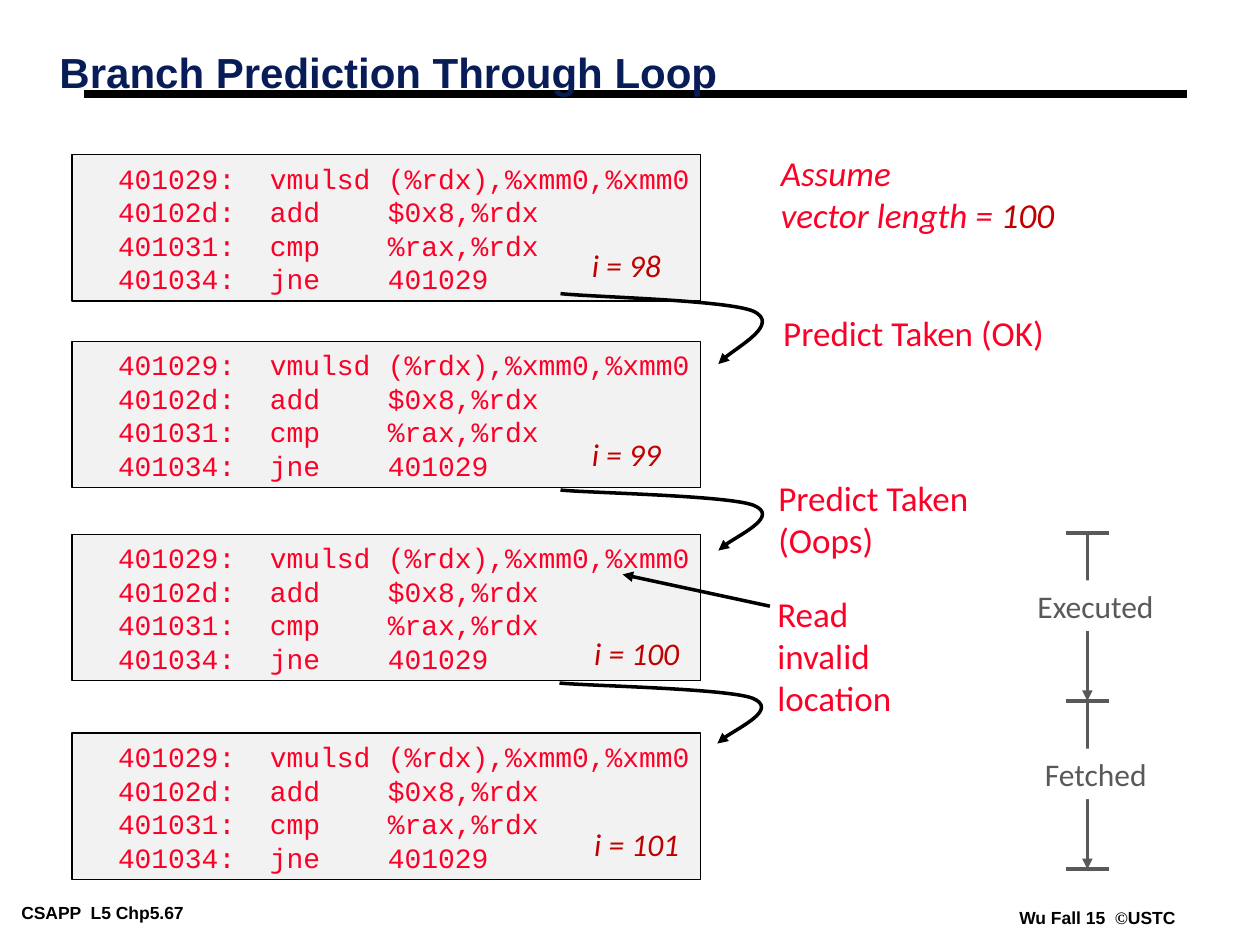
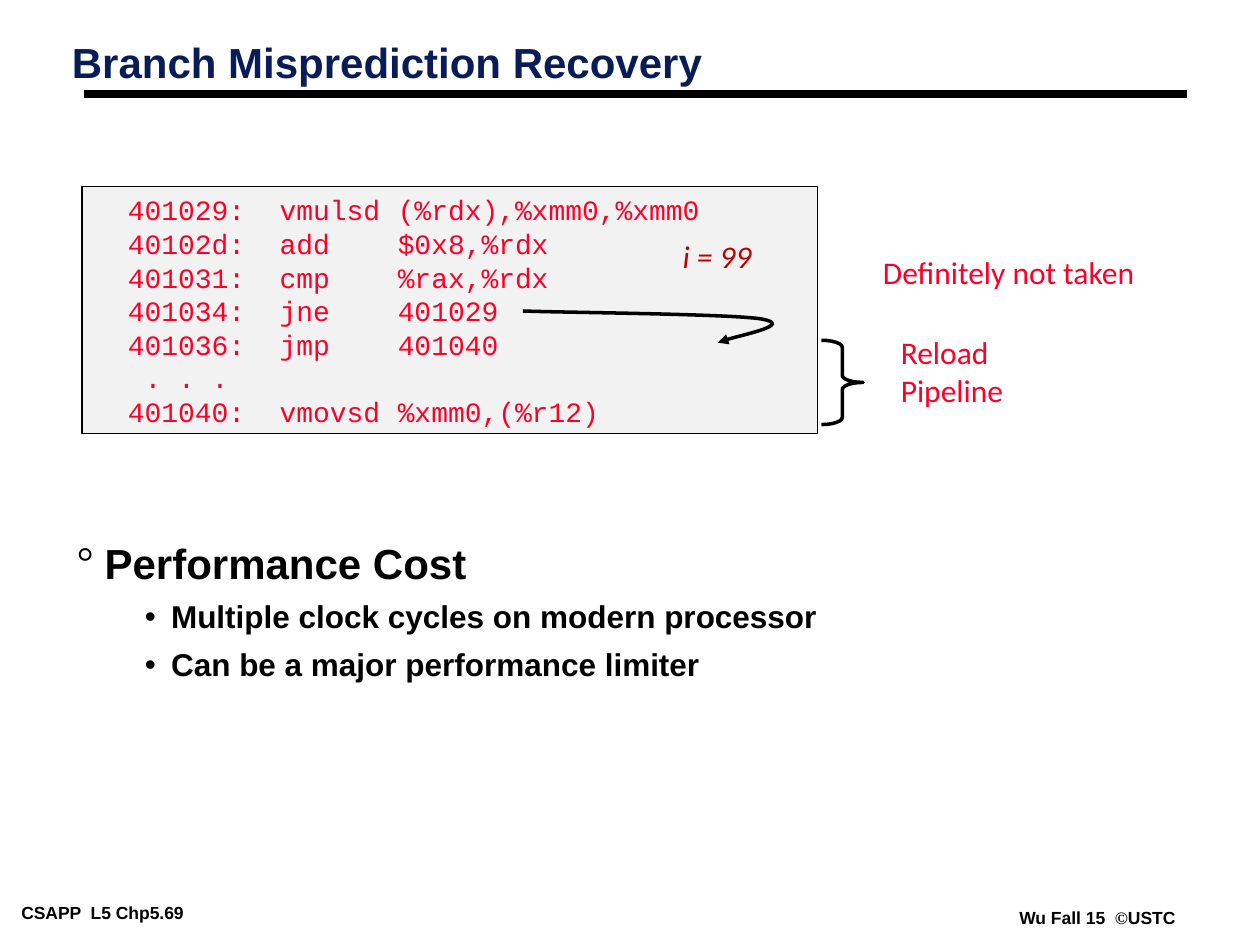
from lxml import etree
from pptx import Presentation
from pptx import util as u
from pptx.dml import color
from pptx.enum import shapes, text
from pptx.oxml import ns

Cm, Pt = u.Cm, u.Pt
HUES = {"ink": "000000", "navy": "081D58", "red": "FC0128", "dark": "C00000",
        "grey": "595959", "pale": "F2F2F2", "white": "FFFFFF"}
WIDE, TIGHT = (0.25, 0.13), (0.18, 0.08)  # text insets: sides, top and bottom
# Hooked arrow: start point and two Bezier segments, as shares of its box
HOOK = [(0, 0), (0.15, 0.05), (0.76, 0.09), (0.88, 0.25),
        (1, 0.43), (0.75, 0.86), (0.72, 1)]
CODE = ["401029:\tvmulsd\t(%rdx),%xmm0,%xmm0", "40102d:\tadd\t$0x8,%rdx",
        "401031:\tcmp\t%rax,%rdx", "401034:\tjne\t401029"]
EXIT = ["401036:\tjmp\t401040", " . . .", "401040:\tvmovsd\t%xmm0,(%r12)"]
CHAR = 0.34  # width of one code character


def hue(name):
    return color.RGBColor.from_string(HUES[name])


def sub(node, tag, **attrs):
    return etree.SubElement(node, ns.qn(tag), attrs)


class Deck:
    def __init__(self):
        self.prs = Presentation()
        self.prs.slide_width, self.prs.slide_height = Cm(25.4), Cm(19.05)

    def page(self, title, x, y, w, num):
        """Start a slide with the shared footer, rule and title."""
        self.slide = self.prs.slides.add_slide(self.prs.slide_layouts[6])
        self.art = self.slide.shapes
        foot = dict(size=10, face="Arial", tint="ink", bold=True, inset=TIGHT)
        self.label(f"CSAPP  L5 Chp5.{num}", 0.25, 18.11, 4.95, 0.56, **foot)
        self.label([["Wu Fall 15  ", ("©", {"name": "Times New Roman"}), "USTC"]],
                   20.37, 18.21, 3.51, 0.56, **foot)
        self.line(1.7, 1.9, 23.93, 1.9, width=4.5)
        self.label(title, x, y, w, 1.6, size=24, face="Arial", tint="navy",
                   bold=True, inset=TIGHT, wrap=True, space=0.87)

    def font(self, font, size=None, name=None, tint=None, bold=None, slant=None):
        if size:
            font.size = Pt(size)
        if name:
            font.name = name
        if tint:
            font.color.rgb = hue(tint)
        if bold is not None:
            font.bold = bold
        if slant is not None:
            font.italic = slant

    def fill(self, frame, rows, inset, wrap, space=None, tabs=(), **font):
        """Write rows; a row is a string or a list of plain and styled runs."""
        frame.margin_left = frame.margin_right = Cm(inset[0])
        frame.margin_top = frame.margin_bottom = Cm(inset[1])
        frame.word_wrap = wrap
        frame.vertical_anchor = text.MSO_ANCHOR.TOP
        rows = rows.split("\n") if isinstance(rows, str) else rows
        for i, row in enumerate(rows):
            para = frame.add_paragraph() if i else frame.paragraphs[0]
            para.alignment = text.PP_ALIGN.LEFT
            if tabs:
                stops = sub(para._p.get_or_add_pPr(), "a:tabLst")
                for stop in tabs:
                    sub(stops, "a:tab", pos=str(Cm(stop)), algn="l")
            if space:
                para.line_spacing = space
            self.font(para.font, **font)
            for part in [row] if isinstance(row, str) else row:
                words, style = (part, {}) if isinstance(part, str) else part
                run = para.add_run()
                run.text = words
                self.font(run.font, **style)

    def label(self, rows, x, y, w, h, size=18, face="Calibri", tint="red",
              inset=WIDE, wrap=False, space=None, **font):
        frame = self.art.add_textbox(Cm(x), Cm(y), Cm(w), Cm(h)).text_frame
        self.fill(frame, rows, inset, wrap, space, size=size, name=face,
                  tint=tint, **font)
        frame.auto_size = text.MSO_AUTO_SIZE.SHAPE_TO_FIT_TEXT

    def index(self, num, x, y):
        self.label(f"i = {num}", x, y, 2.4, 1.02, tint="dark", slant=True, wrap=True)

    def box(self, x, y, w, h, back, edge=None):
        box = self.art.add_shape(shapes.MSO_SHAPE.RECTANGLE, Cm(x), Cm(y), Cm(w), Cm(h))
        box.shadow.inherit = False
        box.fill.solid()
        box.fill.fore_color.rgb = hue(back)
        if edge:
            self.stroke(box, "ink", edge)
        else:
            box.line.fill.background()
        return box.text_frame

    def code(self, rows, x, y, w, h, edge=0.75):
        frame = self.box(x, y, w, h, "pale", edge)
        self.fill(frame, rows, WIDE, True, tabs=(9 * CHAR, 16 * CHAR), size=16,
                  name="Courier New", tint="red")
        frame.margin_left, frame.margin_right = Cm(0.25 + 2 * CHAR), 0

    def stroke(self, item, tint, width, head=False):
        item.line.color.rgb = hue(tint)
        item.line.width = Pt(width)
        if head:
            sub(item.line._get_or_add_ln(), "a:tailEnd", type="triangle")

    def line(self, x1, y1, x2, y2, tint="ink", width=2, head=False):
        line = self.art.add_connector(shapes.MSO_CONNECTOR.STRAIGHT,
                                      Cm(x1), Cm(y1), Cm(x2), Cm(y2))
        self.stroke(line, tint, width, head)
        sub(line._element.spPr, "a:effectLst")

    def hook(self, x, y, w, h):
        """Draw a curved arrow: each three line points become one Bezier."""
        spots = [(Cm(x + w * a), Cm(y + h * b)) for a, b in HOOK]
        form = self.art.build_freeform(*spots[0], scale=1.0)
        form.add_line_segments(spots[1:], close=False)
        curve = form.convert_to_shape()
        curve.shadow.inherit = False
        curve.fill.background()
        self.stroke(curve, "ink", 2, head=True)
        legs = list(curve._element.iter(ns.qn("a:lnTo")))
        trace = legs[0].getparent()
        for i in range(0, len(legs), 3):
            bend = sub(trace, "a:cubicBezTo")
            for leg in legs[i:i + 3]:
                bend.append(leg[0])
                trace.remove(leg)

    def brace(self, x, y, w, h):
        brace = self.art.add_shape(shapes.MSO_SHAPE.RIGHT_BRACE, Cm(x), Cm(y), Cm(w), Cm(h))
        brace.shadow.inherit = False
        brace.adjustments[0] = 0.17
        brace.fill.background()
        self.stroke(brace, "ink", 2)

    def points(self, head, items, x, y, w, h):
        """Write a bulleted heading with its sub-points."""
        frame = self.art.add_textbox(Cm(x), Cm(y), Cm(w), Cm(h)).text_frame
        self.fill(frame, [head] + items, TIGHT, True, size=18, name="Arial",
                  tint="ink", bold=True)
        for i, para in enumerate(frame.paragraphs):
            mark, face, left, hang, size, space, gap = (
                ("•", "Arial", 1.9, 0.53, 18, 0.85, 9) if i else
                ("°", "Times New Roman", 0.56, 0.56, 24, 0.75, 19.5))
            para.level = min(i, 1)
            para.line_spacing, para.space_before = space, Pt(gap)
            para.font.size = Pt(size)
            props = para._p.get_or_add_pPr()
            props.set("marL", str(Cm(left)))
            props.set("indent", str(-Cm(hang)))
            last = props.find(ns.qn("a:defRPr"))
            tint = etree.Element(ns.qn("a:buClr"))
            sub(tint, "a:srgbClr", val=HUES["ink"])
            last.addprevious(tint)
            last.addprevious(etree.Element(ns.qn("a:buFont"), typeface=face))
            last.addprevious(etree.Element(ns.qn("a:buChar"), char=mark))


def loop(deck):
    deck.page("Branch Prediction Through Loop", 1.02, 0.99, 21.82, 67)
    # Loop passes
    passes = [(98, 3.12, 11.68, 4.83), (99, 6.88, 11.68, 8.64),
              (100, 10.77, 11.73, 12.65), (101, 14.78, 11.73, 16.51)]
    for num, top, x, y in passes:
        deck.code(CODE, 1.45, top, 12.67, 2.95)
        deck.index(num, x, y)
    # Jumps between passes
    for x, y, h in [(11.3, 5.92, 1.42), (11.3, 9.88, 1.22), (11.28, 13.77, 1.22)]:
        deck.hook(x, y, 4.42, h)
    # Remarks
    deck.label(["Assume", ["vector length = ", ("100", {"tint": "dark"})]],
               15.49, 2.92, 6.02, 1.96, size=20, slant=True)
    deck.label("Predict Taken (OK)", 15.54, 6.15, 5.84, 1.12, size=20)
    deck.label("Predict Taken\n(Oops)", 15.44, 9.47, 4.42, 1.96, size=20)
    deck.label("Read invalid location", 15.42, 11.81, 3.61, 2.79, size=20, wrap=True)
    deck.line(15.52, 12.22, 12.55, 11.58, head=True)
    # Time scale
    mid, top, step = 21.92, 10.74, 3.39
    for i, (name, w) in enumerate([("Executed", 2.87), ("Fetched", 2.57)]):
        y = top + i * step
        deck.line(mid, y, mid, y + step, "grey", head=True)
        frame = deck.box(22.1 - w / 2, y + 0.96, w, 1.02, "white")
        deck.fill(frame, name, WIDE, False, size=18, name="Calibri", tint="grey")
    for i in range(3):
        deck.line(mid - 0.43, top + i * step, mid + 0.43, top + i * step, "grey")


def repair(deck):
    deck.page("Branch Misprediction Recovery", 1.27, 0.79, 20.98, 69)
    # Code after the loop
    deck.code(CODE + EXIT, 1.65, 3.76, 14.83, 4.98, edge=1)
    deck.hook(10.54, 6.27, 5.46, 0.64)
    deck.index(99, 13.51, 4.65)
    # Remarks
    deck.label("Definitely not taken", 17.55, 4.98, 5.61, 1.02)
    deck.brace(16.56, 6.86, 0.84, 1.7)
    deck.label("Reload\nPipeline", 17.91, 6.58, 2.57, 1.78)
    # Cost
    deck.points("Performance Cost", ["Multiple clock cycles on modern processor",
                                     "Can be a major performance limiter"],
                1.37, 11, 22.25, 3.81)


def main():
    deck = Deck()
    loop(deck)
    repair(deck)
    deck.prs.save("out.pptx")


if __name__ == "__main__":
    main()
